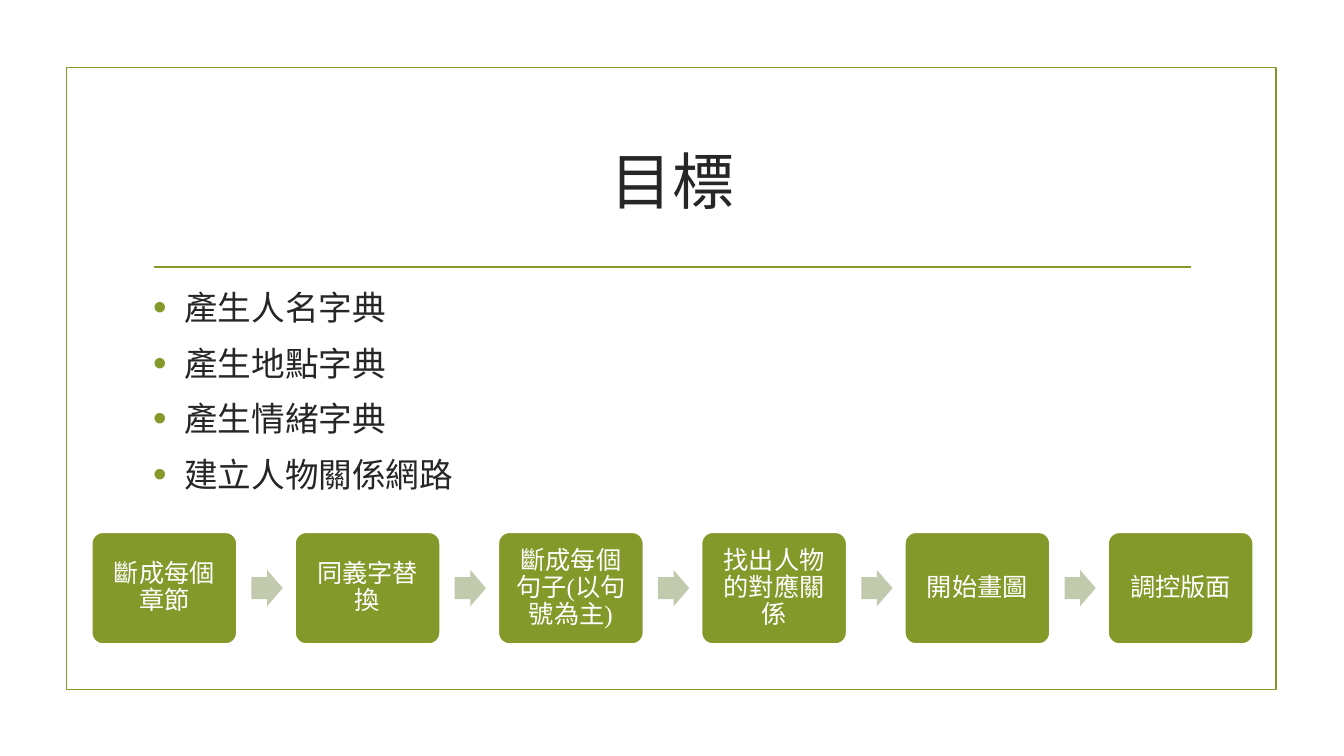
from lxml.etree import SubElement
from pptx import Presentation
from pptx.dml.color import RGBColor
from pptx.enum.shapes import MSO_CONNECTOR, MSO_SHAPE
from pptx.enum.text import MSO_ANCHOR, PP_ALIGN
from pptx.oxml.ns import qn
from pptx.util import Inches, Pt

TITLE = "目標"
GOALS = ["產生人名字典", "產生地點字典", "產生情緒字典", "建立人物關係網路"]
STEPS = ["斷成每個章節", "同義字替換", "斷成每個句子(以句號為主)",
         "找出人物的對應關係", "開始畫圖", "調控版面"]
COLORS = {"green": "83992A", "arrow": "C1CAAD", "text": "262626", "white": "FFFFFF"}
FONT = "Times New Roman"

# Layout in inches
WIDTH, HEIGHT = 13.33, 7.5
FRAME = (0.66, 0.67, 12, 6.17)
TEXT_LEFT, TEXT_WIDTH = 1.42, 10.5
RULE_LEFT, RULE_RIGHT, RULE_TOP = 1.53, 11.81, 2.65
BULLET_INDENT = 0.31
STEP_LEFT, STEP_TOP, STEP_WIDTH, STEP_HEIGHT = 0.91, 5.28, 1.44, 1.11
STEP_PITCH = 1.4 * STEP_WIDTH
ARROW_WIDTH, ARROW_HEIGHT = 0.31, 0.36


def color(name):
    return RGBColor.from_string(COLORS[name])


def add_run(paragraph, text, size, color_name):
    run = paragraph.add_run()
    run.text = text
    run.font.name = FONT
    run.font.size = Pt(size)
    run.font.color.rgb = color(color_name)


def add_text_box(slide, *box):
    frame = slide.shapes.add_textbox(*map(Inches, box)).text_frame
    frame.word_wrap = True
    return frame


def add_shape(slide, kind, box, fill=None, line=None):
    shape = slide.shapes.add_shape(kind, *map(Inches, box))
    shape.shadow.inherit = False
    if fill:
        shape.fill.solid()
        shape.fill.fore_color.rgb = color(fill)
    else:
        shape.fill.background()
    if line:
        shape.line.color.rgb = color(line)
        shape.line.width = Pt(1.25)
    else:
        shape.line.fill.background()
    return shape


def add_bullet(paragraph):
    properties = paragraph._p.get_or_add_pPr()
    properties.set("marL", str(Inches(BULLET_INDENT)))
    properties.set("indent", str(-Inches(BULLET_INDENT)))
    bullet_color = SubElement(properties, qn("a:buClr"))
    SubElement(bullet_color, qn("a:srgbClr"), val=COLORS["green"])
    SubElement(properties, qn("a:buSzPct"), val="115000")
    SubElement(properties, qn("a:buFont"), typeface="Arial")
    SubElement(properties, qn("a:buChar"), char="•")


def add_step(slide, left, text):
    box = (left, STEP_TOP, STEP_WIDTH, STEP_HEIGHT)
    step = add_shape(slide, MSO_SHAPE.ROUNDED_RECTANGLE, box, "green", "white")
    step.adjustments[0] = 0.1
    frame = step.text_frame
    frame.word_wrap = True
    frame.vertical_anchor = MSO_ANCHOR.MIDDLE
    frame.margin_left = frame.margin_right = Inches(0.07)
    frame.margin_top = frame.margin_bottom = Inches(0.07)
    paragraph = frame.paragraphs[0]
    paragraph.alignment = PP_ALIGN.CENTER
    paragraph.line_spacing = 0.9
    add_run(paragraph, text, 18, "white")


def main():
    presentation = Presentation()
    presentation.slide_width = Inches(WIDTH)
    presentation.slide_height = Inches(HEIGHT)
    slide = presentation.slides.add_slide(presentation.slide_layouts[6])

    # Frame and rule under the title
    add_shape(slide, MSO_SHAPE.RECTANGLE, FRAME, line="green")
    rule = slide.shapes.add_connector(
        MSO_CONNECTOR.STRAIGHT, Inches(RULE_LEFT), Inches(RULE_TOP),
        Inches(RULE_RIGHT), Inches(RULE_TOP))
    rule.line.color.rgb = color("green")
    rule.line.width = Pt(1.25)
    SubElement(rule._element.spPr, qn("a:effectLst"))

    # Title
    title = add_text_box(slide, TEXT_LEFT, 1.07, TEXT_WIDTH, 1.43)
    title.vertical_anchor = MSO_ANCHOR.MIDDLE
    title.paragraphs[0].alignment = PP_ALIGN.CENTER
    add_run(title.paragraphs[0], TITLE, 44, "text")

    # Goals
    goals = add_text_box(slide, TEXT_LEFT, 2.8, TEXT_WIDTH, 3.63)
    for index, goal in enumerate(GOALS):
        paragraph = goals.add_paragraph() if index else goals.paragraphs[0]
        paragraph.space_before = Pt(4.8)
        paragraph.space_after = Pt(6)
        add_bullet(paragraph)
        add_run(paragraph, goal, 24, "text")

    # Process steps, with an arrow between neighbours
    for index, step in enumerate(STEPS):
        left = STEP_LEFT + index * STEP_PITCH
        if index:
            arrow_left = left - STEP_PITCH + 1.1 * STEP_WIDTH
            arrow_top = STEP_TOP + (STEP_HEIGHT - ARROW_HEIGHT) / 2
            arrow = add_shape(slide, MSO_SHAPE.RIGHT_ARROW,
                              (arrow_left, arrow_top, ARROW_WIDTH, ARROW_HEIGHT), "arrow")
            arrow.adjustments[0] = 0.6
            arrow.adjustments[1] = 0.5
        add_step(slide, left, step)

    presentation.save("out.pptx")


if __name__ == "__main__":
    main()
